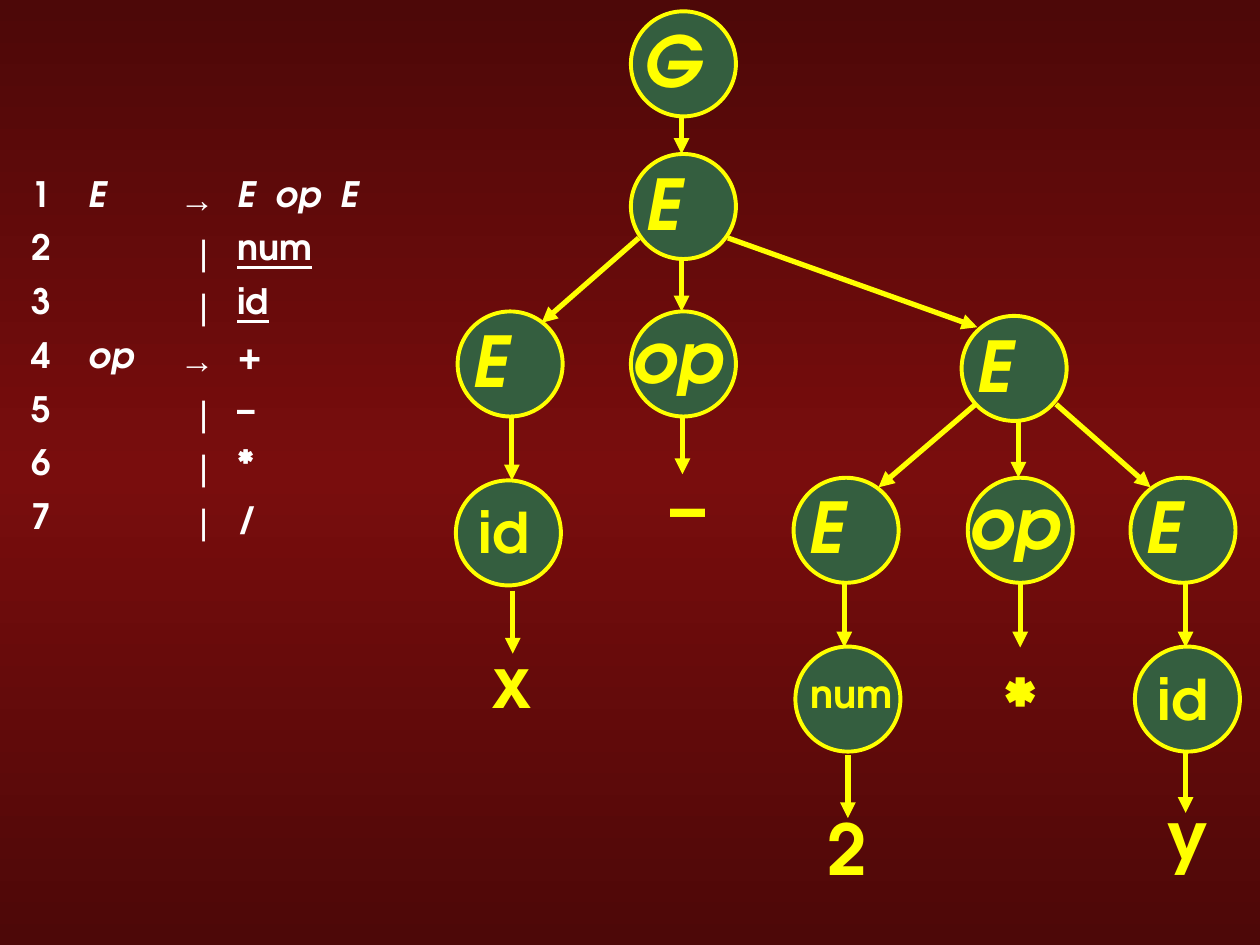
from copy import deepcopy
from dataclasses import dataclass

from lxml import etree
from pptx import Presentation
from pptx.dml.color import RGBColor
from pptx.enum import shapes
from pptx.oxml import ns
from pptx.util import Pt


@dataclass(frozen=True)
class Theme:
    edge: RGBColor = RGBColor(0x4D, 0x08, 0x08)
    middle: RGBColor = RGBColor(0x79, 0x0D, 0x0D)
    node: RGBColor = RGBColor(0x34, 0x5E, 0x3F)
    accent: RGBColor = RGBColor(0xFF, 0xFF, 0x00)
    text: RGBColor = RGBColor(0xFF, 0xFF, 0xFF)
    font: str = "TeX Gyre Adventor"
    symbol_font: str = "Arial"
    rule_size: int = 20
    symbol_size: int = 40
    id_size: int = 32
    num_size: int = 22


THEME = Theme()
NO_STYLE = "{2D5ABB26-0587-4C30-8999-92F81FD0307C}"
DIAMETER = 60
ARROW = 36

# label: dx, dy, width, height, size, italic
LABELS = {
    "G": (0, 0, 46, 55.5, THEME.symbol_size, True),
    "E": (1.5, 0, 46, 55.5, THEME.symbol_size, True),
    "op": (-6, -2.5, 69, 55.5, THEME.symbol_size, True),
    "id": (6, 6.5, 46, 46, THEME.id_size, False),
    "num": (1.5, 10, 72, 34, THEME.num_size, False),
}
NODES = [
    ("G", 360.5, 6.5), ("E", 360.5, 88),
    ("E", 261.5, 178), ("op", 360.5, 178), ("E", 549.5, 180.5),
    ("E", 453.5, 273), ("op", 553, 273), ("E", 646, 273),
    ("id", 260.5, 274.5), ("num", 454.5, 369.5), ("id", 648.5, 369.5),
]
LEAVES = [("x", 274.5, 361.5), ("–", 376, 261.5), ("2", 466, 456.5),
          ("*", 566.5, 373.5), ("y", 660, 449.5)]
DOWN_ARROWS = [
    (389.5, 142), (390, 235), (292.5, 238.5), (293, 337.5), (582, 237),
    (482.5, 334), (583, 334), (677.5, 334), (484.5, 431.5), (677.5, 428.5),
]
BRANCHES = [
    (389.5, 66.5, 389.5, 88), (365, 136, 309.5, 184.5), (416, 136, 558.5, 187),
    (557.5, 231, 502, 278.5), (603.5, 231, 657.5, 278.5),
]
RULES = [
    ("E", "→", "E\top\tE"), ("", "|", "num"), ("", "|", "id"),
    ("op", "→", "+"), ("", "|", "–"), ("", "|", "*"), ("", "|", "/"),
]
COLUMNS = (32.5, 52, 33, 157)
ROW_HEIGHT = 30.7
BAR_MARGIN = 18.3
TAB_STOPS = (22, 59)


def set_background(s):
    fill = s.background.fill
    fill.gradient()
    fill.gradient_angle = 90
    stops = s.element.find(".//" + ns.qn("a:gsLst"))
    stops.append(deepcopy(stops[0]))
    colors = (THEME.edge, THEME.middle, THEME.edge)
    for stop, color, position in zip(fill.gradient_stops, colors, (0, 0.5, 1)):
        stop.color.rgb = color
        stop.position = position


def style(p, size, color, name=THEME.font, bold=True, italic=False):
    f = p.font
    f.size, f.name, f.bold, f.italic = Pt(size), name, bold, italic
    f.color.rgb = color


def add_label(s, label, x, y, w, h, size, italic=False):
    tf = s.shapes.add_textbox(Pt(x), Pt(y), Pt(w), Pt(h)).text_frame
    tf.word_wrap = True
    p = tf.paragraphs[0]
    p.text = label
    style(p, size, THEME.accent, italic=italic)


def add_node(s, label, x, y):
    sp = s.shapes.add_shape(shapes.MSO_SHAPE.OVAL, Pt(x), Pt(y),
                            Pt(DIAMETER), Pt(DIAMETER))
    sp.shadow.inherit = False
    sp.fill.solid()
    sp.fill.fore_color.rgb = THEME.node
    sp.line.color.rgb = THEME.accent
    sp.line.width = Pt(2.25)
    dx, dy, w, h, size, italic = LABELS[label]
    add_label(s, label, x + dx, y + dy, w, h, size, italic)


def add_arrow(s, x1, y1, x2, y2):
    c = s.shapes.add_connector(shapes.MSO_CONNECTOR.STRAIGHT,
                               Pt(x1), Pt(y1), Pt(x2), Pt(y2))
    c.line.color.rgb = THEME.accent
    c.line.width = Pt(3)
    etree.SubElement(c.line._get_or_add_ln(), ns.qn("a:tailEnd"), type="triangle")
    etree.SubElement(c.element.spPr, ns.qn("a:effectLst"))


def add_tab_stops(p):
    tabs = etree.SubElement(p._p.get_or_add_pPr(), ns.qn("a:tabLst"))
    for stop in TAB_STOPS:
        etree.SubElement(tabs, ns.qn("a:tab"), pos=str(Pt(stop)), algn="l")


def fill_cell(cell, value, column):
    cell.fill.background()
    if not value:
        return
    p = cell.text_frame.paragraphs[0]
    p.text = value
    p.line_spacing = 0.9
    if "\t" in value:
        add_tab_stops(p)
    if value == "|":
        cell.margin_left, cell.margin_right = Pt(BAR_MARGIN), Pt(0)
    name = THEME.symbol_font if column == 2 else THEME.font
    italic = column == 1 or "\t" in value
    style(p, THEME.rule_size, THEME.text, name, value != "|", italic)
    if value in ("num", "id"):
        p.font.underline = True


def add_grammar(s):
    frame = s.shapes.add_table(len(RULES), len(COLUMNS), Pt(11), Pt(101.5),
                               Pt(sum(COLUMNS)), Pt(ROW_HEIGHT * len(RULES)))
    table = frame.table
    table.first_row = table.horz_banding = False
    frame.element.find(".//" + ns.qn("a:tableStyleId")).text = NO_STYLE
    for column, width in zip(table.columns, COLUMNS):
        column.width = Pt(width)
    for i, rule in enumerate(RULES):
        table.rows[i].height = Pt(ROW_HEIGHT)
        for j, value in enumerate((str(i + 1), *rule)):
            fill_cell(table.cell(i, j), value, j)


def main():
    prs = Presentation()
    prs.slide_width, prs.slide_height = Pt(720), Pt(540)
    s = prs.slides.add_slide(prs.slide_layouts[6])
    set_background(s)
    for x, y in DOWN_ARROWS:
        add_arrow(s, x, y, x, y + ARROW)
    for branch in BRANCHES:
        add_arrow(s, *branch)
    for node in NODES:
        add_node(s, *node)
    for label, x, y in LEAVES:
        add_label(s, label, x, y, 35.5, 55.5, THEME.symbol_size)
    add_grammar(s)
    prs.save("out.pptx")


if __name__ == "__main__":
    main()
